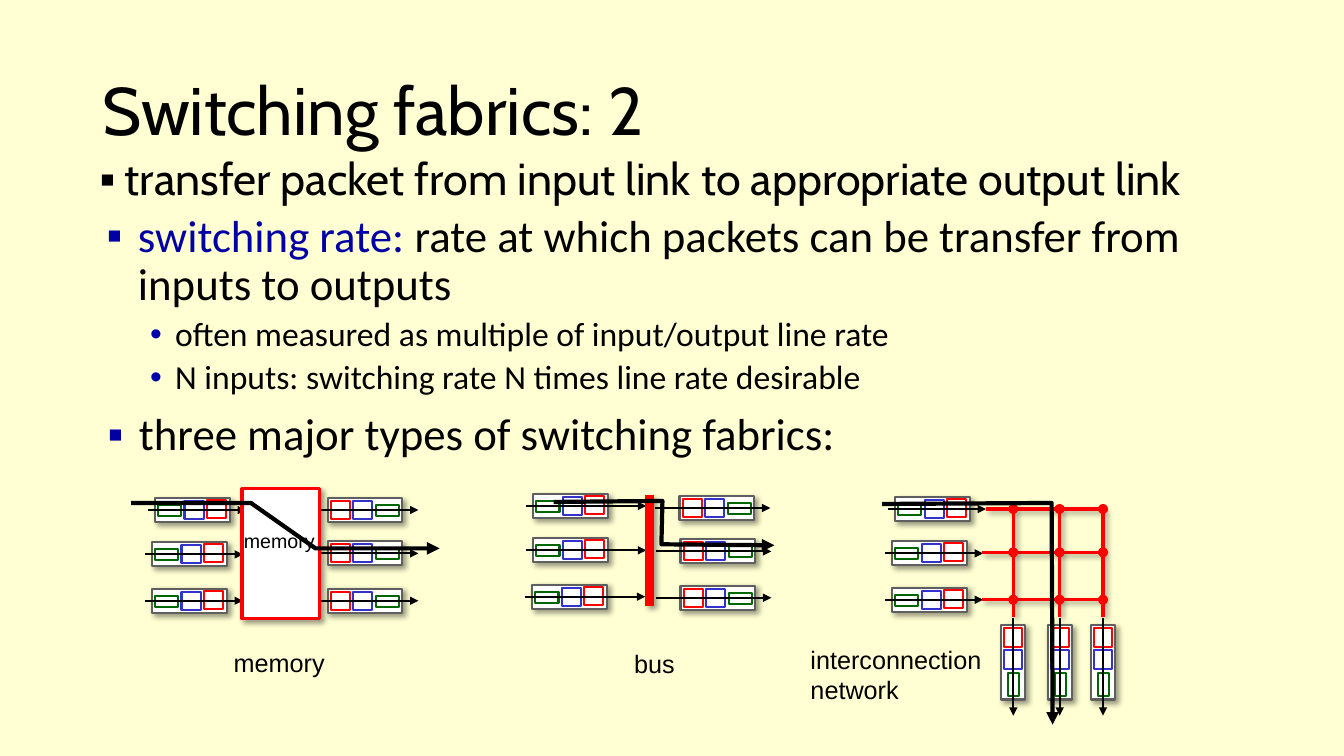
from itertools import product

from lxml.etree import SubElement
from pptx import Presentation
from pptx.dml.color import RGBColor
from pptx.enum.shapes import MSO_CONNECTOR, MSO_SHAPE
from pptx.enum.text import MSO_ANCHOR, MSO_AUTO_SIZE
from pptx.oxml.ns import qn
from pptx.util import Pt

PX = 9144  # 100 px to the inch
COLORS = {
    "background": "FFFFD3", "black": "000000", "white": "FFFFFF",
    "frame": "5F5F5F", "green": "006600", "blue": "3333CC", "red": "FF0000",
    "accent": "0000A3", "dot": "0000A8",
}
# colour: (offset along the queue, offset across it, length, thickness)
INPUT_PACKETS = {"green": (3, 7, 23, 11), "blue": (29, 3, 19, 18), "red": (51, 2, 19, 18)}
OUTPUT_PACKETS = {"green": (48, 7, 23, 11), "blue": (25, 3, 19, 18), "red": (3, 3, 19, 18)}


def rgb(name):
    return RGBColor.from_string(COLORS[name])


def add(parent, tag, **attrs):
    return SubElement(parent, qn(tag), {k: str(v) for k, v in attrs.items()})


def write(p, text, size=18, font="Arial", color="black"):
    r = p.add_run()
    r.text = text
    r.font.size = Pt(size)
    r.font.name = font
    r.font.color.rgb = rgb(color)


def bullet(p, char, left, hang, color, before=0):
    """Give a paragraph a hanging bullet; lengths in px, space before in points."""
    pPr = p._p.get_or_add_pPr()
    pPr.set("marL", str(left * PX))
    pPr.set("indent", str(-hang * PX))
    add(add(pPr, "a:buClr"), "a:srgbClr", val=COLORS[color])
    add(pPr, "a:buFont", typeface="Arial")
    add(pPr, "a:buChar", char=char)
    p.line_spacing = 0.9
    p.space_before = Pt(before)


class Canvas:
    def __init__(self, prs):
        self.s = prs.slides.add_slide(prs.slide_layouts[6])
        fill = self.s.background.fill
        fill.solid()
        fill.fore_color.rgb = rgb("background")

    def style(self, sp, color, width, shadow=False, arrow=False):
        """Set the outline, the arrowhead and the shadow of a shape or line."""
        if color:
            sp.line.color.rgb = rgb(color)
            sp.line.width = Pt(width)
        else:
            sp.line.fill.background()
        spPr = sp._element.spPr
        if arrow:
            add(spPr.find(qn("a:ln")), "a:tailEnd", type="triangle")
        effects = add(spPr, "a:effectLst")
        if shadow:
            outer = add(effects, "a:outerShdw", blurRad=Pt(4), dist=Pt(3),
                        dir=45 * 60000, algn="tl", rotWithShape=0)
            add(add(outer, "a:srgbClr", val=COLORS["black"]), "a:alpha", val=40000)

    def shape(self, x, y, w, h, fill="white", line=None, width=1.5, shadow=False,
              kind=MSO_SHAPE.RECTANGLE):
        sp = self.s.shapes.add_shape(kind, x * PX, y * PX, w * PX, h * PX)
        sp.fill.solid()
        sp.fill.fore_color.rgb = rgb(fill)
        self.style(sp, line, width, shadow)

    def line(self, x1, y1, x2, y2, color="black", width=1.5, shadow=False, arrow=False):
        c = self.s.shapes.add_connector(
            MSO_CONNECTOR.STRAIGHT, x1 * PX, y1 * PX, x2 * PX, y2 * PX)
        self.style(c, color, width, shadow, arrow)

    def route(self, *points):
        """Draw the thick path that a packet takes through the switch."""
        builder = self.s.shapes.build_freeform(*points[0], scale=PX)
        builder.add_line_segments(points[1:], close=False)
        sp = builder.convert_to_shape()
        sp.fill.background()
        self.style(sp, "black", 3, arrow=True)

    def box(self, x, y, w, h, wrap=True, anchor=MSO_ANCHOR.TOP):
        tf = self.s.shapes.add_textbox(x * PX, y * PX, w * PX, h * PX).text_frame
        tf.word_wrap = wrap
        tf.vertical_anchor = anchor
        tf.auto_size = MSO_AUTO_SIZE.NONE if wrap else MSO_AUTO_SIZE.SHAPE_TO_FIT_TEXT
        return tf

    def label(self, x, y, w, h, *lines, size=18):
        tf = self.box(x, y, w, h, wrap=False)
        for i, text in enumerate(lines):
            p = tf.add_paragraph() if i else tf.paragraphs[0]
            write(p, text, size=size)

    def queue(self, x, y, packets, lead=7, reach=90, upright=False):
        """Draw a queue of three packets and the arrow that runs through it."""
        def place(along, across, length, thick):
            if upright:
                return x + across, y + along, thick, length
            return x + along, y + across, length, thick

        self.shape(*place(0, 0, 74, 24), line="frame", shadow=True)
        for color, spot in packets.items():
            self.shape(*place(*spot), line=color)
        x1, y1, dx, dy = place(-lead, 12, lead + reach, 0)
        self.line(x1, y1, x1 + dx, y1 + dy, arrow=True)


def draw_bus(c):
    for x, y in ((529, 490), (529, 534), (528, 580)):
        c.queue(x, y, INPUT_PACKETS, reach=112)
    c.line(644, 491, 644, 601, "red", 6, shadow=True)
    for x, y in ((674, 492), (675, 535), (675, 581)):
        c.queue(x, y, OUTPUT_PACKETS, lead=24)
    c.label(619, 638, 60, 40, "bus")
    c.route((549, 498), (657, 497), (656, 540), (768, 541))


def draw_memory(c):
    for x, y in ((154, 494), (151, 538), (151, 584)):
        c.queue(x, y, INPUT_PACKETS)
    c.shape(240, 485, 77, 129, line="red", width=2.25, shadow=True)
    for y in (494, 537, 584):
        c.queue(325, y, OUTPUT_PACKETS)
    c.label(222, 637, 110, 40, "memory")
    c.label(232, 520, 96, 33, "memory", size=14)
    c.route((130, 499), (249, 499), (313, 544), (436, 544))


def draw_interconnection(c):
    rows, columns = (505, 548, 595), (1005, 1051, 1094)
    for x, y in ((888, 493), (885, 537), (885, 583)):
        c.queue(x, y, INPUT_PACKETS)
    for x in columns:
        c.queue(x - 12, 620, OUTPUT_PACKETS, upright=True)
    for x, y in zip((978, 974, 974), rows):
        c.line(x, y, columns[-1], y, "red", 2.25, shadow=True)
    for x in columns:
        c.line(x, 612, x, rows[0], "red", 2.25, shadow=True)
    for x, y in product(columns, rows):
        c.shape(x - 5, y - 5, 10, 10, fill="red", kind=MSO_SHAPE.OVAL)
    c.label(794, 634, 191, 71, "interconnection", "network")
    c.route((875, 500), (1043, 499), (1044, 719))


def write_body(c):
    p = c.box(89, 404, 1207, 72).paragraphs[0]
    bullet(p, "▪", 39, 31, "accent")
    write(p, "three major types of switching fabrics:", size=32, font="Calibri")

    p = c.box(89, 151, 1207, 69).paragraphs[0]
    bullet(p, "▪", 25, 31, "black")
    write(p, "transfer packet from input link to appropriate output link",
          size=32, font="Cabin")

    tf = c.box(88, 207, 1207, 253)
    p = tf.paragraphs[0]
    bullet(p, "▪", 39, 31, "accent")
    write(p, "switching rate: ", size=32, font="Calibri", color="accent")
    write(p, "rate at which packets can be transfer from inputs to outputs",
          size=32, font="Calibri")
    for text in ("often measured as multiple of input/output line rate",
                 "N inputs: switching rate N times line rate desirable"):
        p = tf.add_paragraph()
        p.level = 1
        bullet(p, "•", 76, 25, "dot", before=5)
        write(p, text, size=24, font="Calibri")


def main():
    prs = Presentation()
    prs.slide_width, prs.slide_height = 1333 * PX, 750 * PX
    c = Canvas(prs)
    p = c.box(92, 40, 1150, 145, anchor=MSO_ANCHOR.MIDDLE).paragraphs[0]
    p.line_spacing = 0.9
    write(p, "Switching fabrics: 2", size=48, font="Cabin")
    draw_bus(c)
    draw_memory(c)
    draw_interconnection(c)
    write_body(c)
    prs.save("out.pptx")


if __name__ == "__main__":
    main()
